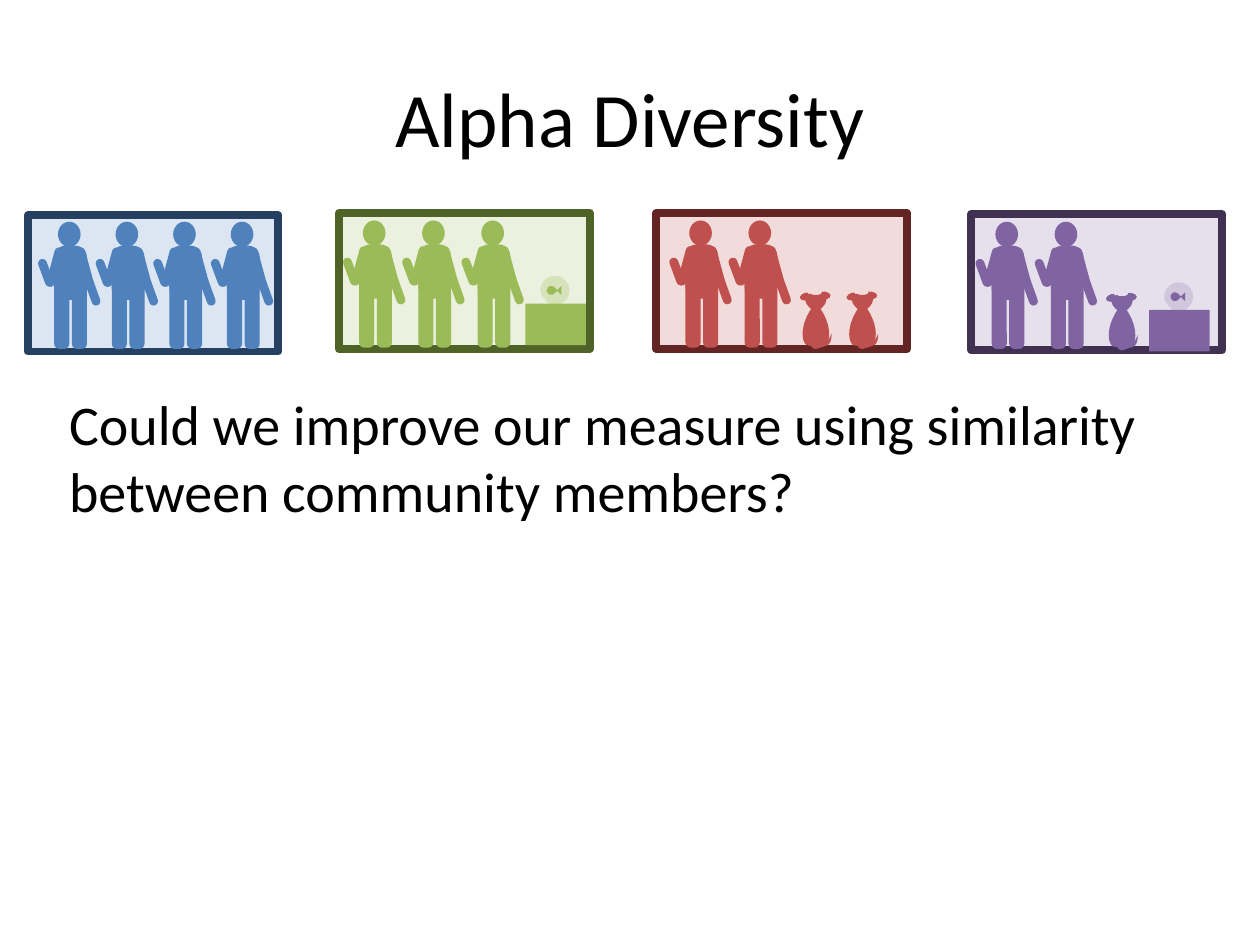
from lxml import etree
from pptx import Presentation
from pptx import util as u
from pptx.dml import color
from pptx.enum import shapes, text
from pptx.oxml import ns

Kind = shapes.MSO_SHAPE
FIGURE = [
    (Kind.OVAL, 0.03, 0, 0.18, 0.2, 0, []),
    (Kind.ROUNDED_RECTANGLE, 0, 0.19, 0.26, 0.43, 0, [0.349]),
    (Kind.ROUNDED_RECTANGLE, 0, 0.46, 0.12, 0.55, 0, [0.349]),
    (Kind.ROUNDED_RECTANGLE, 0.14, 0.46, 0.12, 0.55, 0, [0.349]),
    (Kind.ROUNDED_RECTANGLE, -0.03, 0.2, 0.07, 0.32, 15.2, [0.5]),
    (Kind.ROUNDED_RECTANGLE, 0.21, 0.2, 0.07, 0.32, 344.8, [0.5]),
    (Kind.ROUNDED_RECTANGLE, -0.1, 0.29, 0.07, 0.23, 159.6, [0.5]),
    (Kind.ROUNDED_RECTANGLE, 0.27, 0.44, 0.07, 0.23, 160.3, [0.5]),
]
DOG = [
    (Kind.HEART, 0, 0.08, 0.21, 0.35, 180, []),
    (Kind.RECTANGLE, 0.05, 0.26, 0.11, 0.16, 0, []),
    (Kind.HEART, 0.02, 0.01, 0.17, 0.15, 0, []),
    (Kind.RECTANGLE, 0.08, 0.02, 0.08, 0.06, 0, []),
    (Kind.HEART, -0.02, 0.01, 0.08, 0.06, 331.4, []),
    (Kind.RECTANGLE, -0.01, 0.01, 0.04, 0.02, 331.4, []),
    (Kind.HEART, 0.14, 0, 0.08, 0.06, 21, []),
    (Kind.RECTANGLE, 0.17, 0, 0.04, 0.02, 21, []),
]
TAIL = [
    [(0.05, 0.41), (0.08, 0.4), (0.16, 0.4), (0.19, 0.39)],
    [(0.19, 0.39), (0.22, 0.37), (0.23, 0.32), (0.23, 0.33)],
    [(0.23, 0.33), (0.23, 0.34), (0.23, 0.39), (0.21, 0.41)],
    [(0.21, 0.41), (0.19, 0.43), (0.13, 0.44), (0.11, 0.45)],
    [(0.11, 0.45), (0.07, 0.45), (0.07, 0.42), (0.05, 0.41)],
]
ROOMS = [
    dict(at=(0.22, 1.71), hues=("DCE6F2", "254061", "4F81BD"), people=(0.43, 1.76, 4, 0.457)),
    dict(at=(2.69, 1.69), hues=("EBF1DE", "4F6228", "9BBB59"), people=(2.85, 1.75, 3, 0.47),
         fish=(4.17, 2.41, 27)),
    dict(at=(5.21, 1.69), hues=("F2DCDB", "632523", "C0504D"), people=(5.44, 1.75, 2, 0.47),
         dogs=(6.37, 2.32, 2, 0.37)),
    dict(at=(7.71, 1.7), hues=("E6E0EC", "403152", "8064A2"), people=(7.87, 1.76, 2, 0.47),
         dogs=(8.8, 2.33, 1, 0), fish=(9.12, 2.46, 20)),
]


def rgb(code):
    return color.RGBColor.from_string(code)


def paint(shape, hue):
    shape.shadow.inherit = False
    shape.fill.solid()
    shape.fill.fore_color.rgb = rgb(hue)
    shape.line.fill.background()
    return shape


def add_part(group, kind, x, y, w, h, hue, turn=0, bends=()):
    shape = group.shapes.add_shape(kind, u.Inches(x), u.Inches(y), u.Inches(w), u.Inches(h))
    shape.rotation = turn
    for i, bend in enumerate(bends):
        shape.adjustments[i] = bend
    return paint(shape, hue)


def add_parts(group, parts, x, y, hue):
    for kind, dx, dy, w, h, turn, bends in parts:
        add_part(group, kind, x + dx, y + dy, w, h, hue, turn, bends)


def trace(curve, steps=8):
    for i in range(1, steps + 1):
        t = i / steps
        mix = ((1 - t) ** 3, 3 * t * (1 - t) ** 2, 3 * t * t * (1 - t), t ** 3)
        yield tuple(sum(m * p[k] for m, p in zip(mix, curve)) for k in (0, 1))


def add_dog(group, x, y, hue):
    add_parts(group, DOG, x, y, hue)
    dots = [TAIL[0][0]] + [dot for curve in TAIL for dot in trace(curve)]
    spots = [(u.Inches(x + dx), u.Inches(y + dy)) for dx, dy in dots]
    pen = group.shapes.build_freeform(*spots[0])
    pen.add_line_segments(spots[1:], close=True)
    paint(pen.convert_to_shape(), hue)


def add_fish(group, x, y, hue, alpha):
    add_part(group, Kind.RECTANGLE, x, y, 0.48, 0.33, hue)
    angles = [deg * 60000 / 100000 for deg in (215.225, 169.824)]
    bowl = add_part(group, Kind.CHORD, x + 0.12, y - 0.22, 0.23, 0.23, hue, 310.8, angles)
    tint = bowl.fill._xPr.find(".//" + ns.qn("a:srgbClr"))
    etree.SubElement(tint, ns.qn("a:alpha")).set("val", str(alpha * 1000))
    add_part(group, Kind.TEAR, x + 0.17, y - 0.14, 0.07, 0.07, hue, 44.5)
    add_part(group, Kind.RIGHT_TRIANGLE, x + 0.26, y - 0.13, 0.05, 0.05, hue, 44.5)


def add_room(slide, at, hues, people, dogs=None, fish=None):
    back, edge, hue = hues
    group = slide.shapes.add_group_shape()
    frame = add_part(group, Kind.RECTANGLE, *at, 1.99, 1.08, back)
    frame.line.color.rgb = rgb(edge)
    frame.line.width = u.Pt(4.5)
    x, y, count, step = people
    for i in range(count):
        add_parts(group, FIGURE, x + i * step, y, hue)
    if dogs:
        x, y, count, step = dogs
        for i in range(count):
            add_dog(group, x + i * step, y, hue)
    if fish:
        x, y, alpha = fish
        add_fish(group, x, y, hue, alpha)


def set_text(shape, words, size, align, anchor):
    frame = shape.text_frame
    frame.word_wrap = True
    frame.vertical_anchor = anchor
    frame.text = words
    line = frame.paragraphs[0]
    line.alignment = align
    font = line.runs[0].font
    font.name = "Calibri"
    font.size = u.Pt(size)
    font.color.rgb = rgb("000000")


def main():
    deck = Presentation()
    deck.slide_width, deck.slide_height = u.Inches(10), u.Inches(7.5)
    slide = deck.slides.add_slide(deck.slide_layouts[5])
    title = slide.shapes.title
    title.left, title.top = u.Inches(0.5), u.Inches(0.3)
    title.width, title.height = u.Inches(9), u.Inches(1.25)
    set_text(title, "Alpha Diversity", 44, text.PP_ALIGN.CENTER, text.MSO_ANCHOR.MIDDLE)
    body = slide.shapes.add_textbox(u.Inches(0.45), u.Inches(3.04), u.Inches(9), u.Inches(3.63))
    set_text(body, "Could we improve our measure using similarity between community members?",
             32, text.PP_ALIGN.LEFT, text.MSO_ANCHOR.TOP)
    for room in ROOMS:
        add_room(slide, **room)
    deck.save("out.pptx")


if __name__ == "__main__":
    main()
